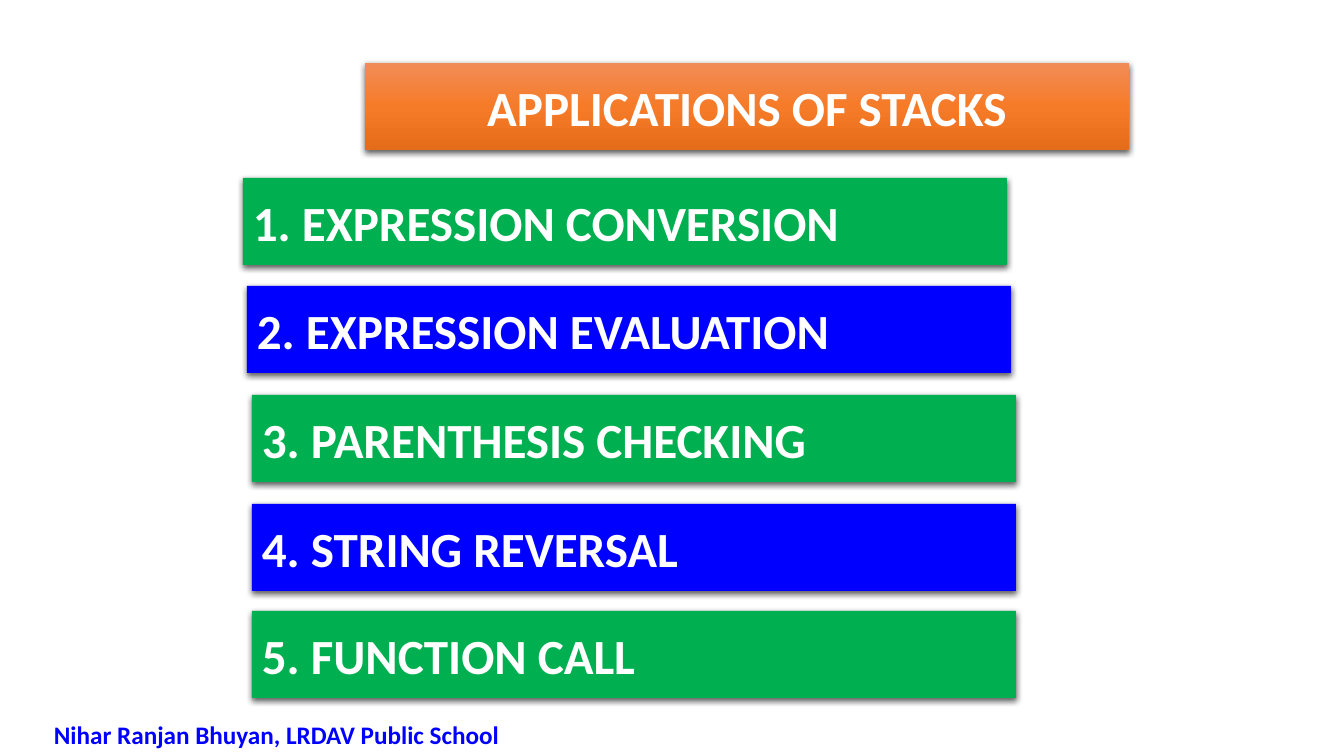
from pptx import Presentation
from pptx.dml.color import RGBColor
from pptx.enum.shapes import MSO_SHAPE
from pptx.enum.text import MSO_ANCHOR, MSO_AUTO_SIZE, PP_ALIGN
from pptx.oxml import parse_xml
from pptx.oxml.ns import nsdecls
from pptx.util import Pt

RECT = MSO_SHAPE.RECTANGLE
MIDDLE = MSO_ANCHOR.MIDDLE
NO_FIT = MSO_AUTO_SIZE.NONE
GROW = MSO_AUTO_SIZE.SHAPE_TO_FIT_TEXT
LEFT, CENTER = PP_ALIGN.LEFT, PP_ALIGN.CENTER

GREEN = RGBColor(0x00, 0xB0, 0x50)
BLUE = RGBColor(0x00, 0x00, 0xFF)
WHITE = RGBColor(0xFF, 0xFF, 0xFF)
ORANGE = [
    (0, RGBColor(0xF1, 0x8C, 0x57)),
    (50, RGBColor(0xF6, 0x7B, 0x28)),
    (100, RGBColor(0xE5, 0x6C, 0x19)),
]

# Content: text, left, top
TITLE = ("APPLICATIONS OF STACKS", 365, 63)
USES = [
    ("EXPRESSION CONVERSION", 243, 178),
    ("EXPRESSION EVALUATION", 247, 286),
    ("PARENTHESIS CHECKING", 252, 395),
    ("STRING REVERSAL", 252, 504),
    ("FUNCTION CALL", 252, 611),
]
AUTHOR = "Nihar Ranjan Bhuyan, LRDAV Public School"

SLIDE_W, SLIDE_H = 1344, 756
BAR_W, BAR_H = 764, 87
INDENT = 56
SCALE = 914400 / 100.8


def px(n):
    return round(n * SCALE)


def place(shape, left, top, width, height):
    shape.left, shape.top = px(left), px(top)
    shape.width, shape.height = px(width), px(height)


def write(shape, text, size, color, align):
    frame = shape.text_frame
    frame.text = text
    frame.word_wrap = True
    para = frame.paragraphs[0]
    para.alignment = align
    font = para.runs[0].font
    font.name, font.size, font.bold = "Calibri", Pt(size), True
    font.color.rgb = color


def style(bar, text, align):
    write(bar, text, 35.1, WHITE, align)
    frame = bar.text_frame
    frame.vertical_anchor = MIDDLE
    frame.auto_size = NO_FIT
    # Hanging indent
    props = frame.paragraphs[0]._p.get_or_add_pPr()
    props.set("marL", str(px(INDENT)))
    props.set("indent", str(-px(INDENT)))
    # No outline, soft shadow below
    bar.line.fill.background()
    bar._element.spPr.append(parse_xml(
        f'<a:effectLst {nsdecls("a")}>'
        f'<a:outerShdw blurRad="{Pt(4.5)}" dist="{Pt(1.5)}" dir="5400000" rotWithShape="0">'
        '<a:srgbClr val="000000"><a:alpha val="63000"/></a:srgbClr>'
        '</a:outerShdw></a:effectLst>'))


def shade(shape, stops):
    marks = "".join(
        f'<a:gs pos="{pos * 1000}"><a:srgbClr val="{color}"/></a:gs>'
        for pos, color in stops)
    shape._element.spPr.append(parse_xml(
        f'<a:gradFill {nsdecls("a")} rotWithShape="1"><a:gsLst>{marks}</a:gsLst>'
        '<a:lin ang="5400000" scaled="0"/></a:gradFill>'))


deck = Presentation()
deck.slide_width, deck.slide_height = px(SLIDE_W), px(SLIDE_H)
slide = deck.slides.add_slide(deck.slide_layouts[5])
shapes = slide.shapes

# Title bar
text, left, top = TITLE
title = shapes.title
place(title, left, top, BAR_W, BAR_H)
shade(title, ORANGE)
style(title, text, CENTER)

# Numbered bars in alternating colours
for i, (text, left, top) in enumerate(USES):
    bar = shapes.add_shape(RECT, px(left), px(top), px(BAR_W), px(BAR_H))
    bar.fill.solid()
    bar.fill.fore_color.rgb = (GREEN, BLUE)[i % 2]
    style(bar, f"{i + 1}. {text}", LEFT)

# Author line
note = shapes.add_textbox(px(44), px(714), px(481), px(40))
write(note, AUTHOR, 18, BLUE, LEFT)
note.text_frame.auto_size = GROW

deck.save("out.pptx")
